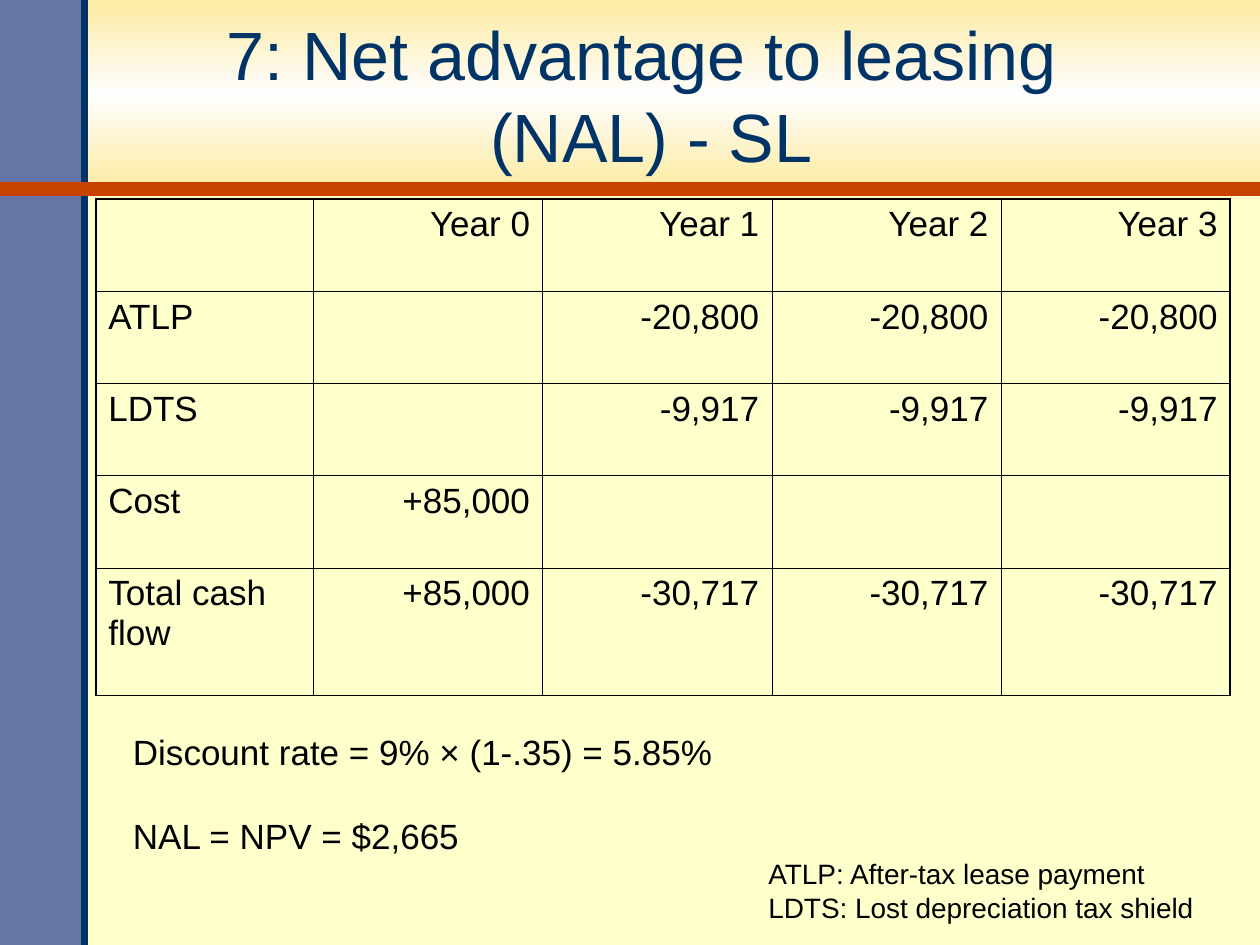
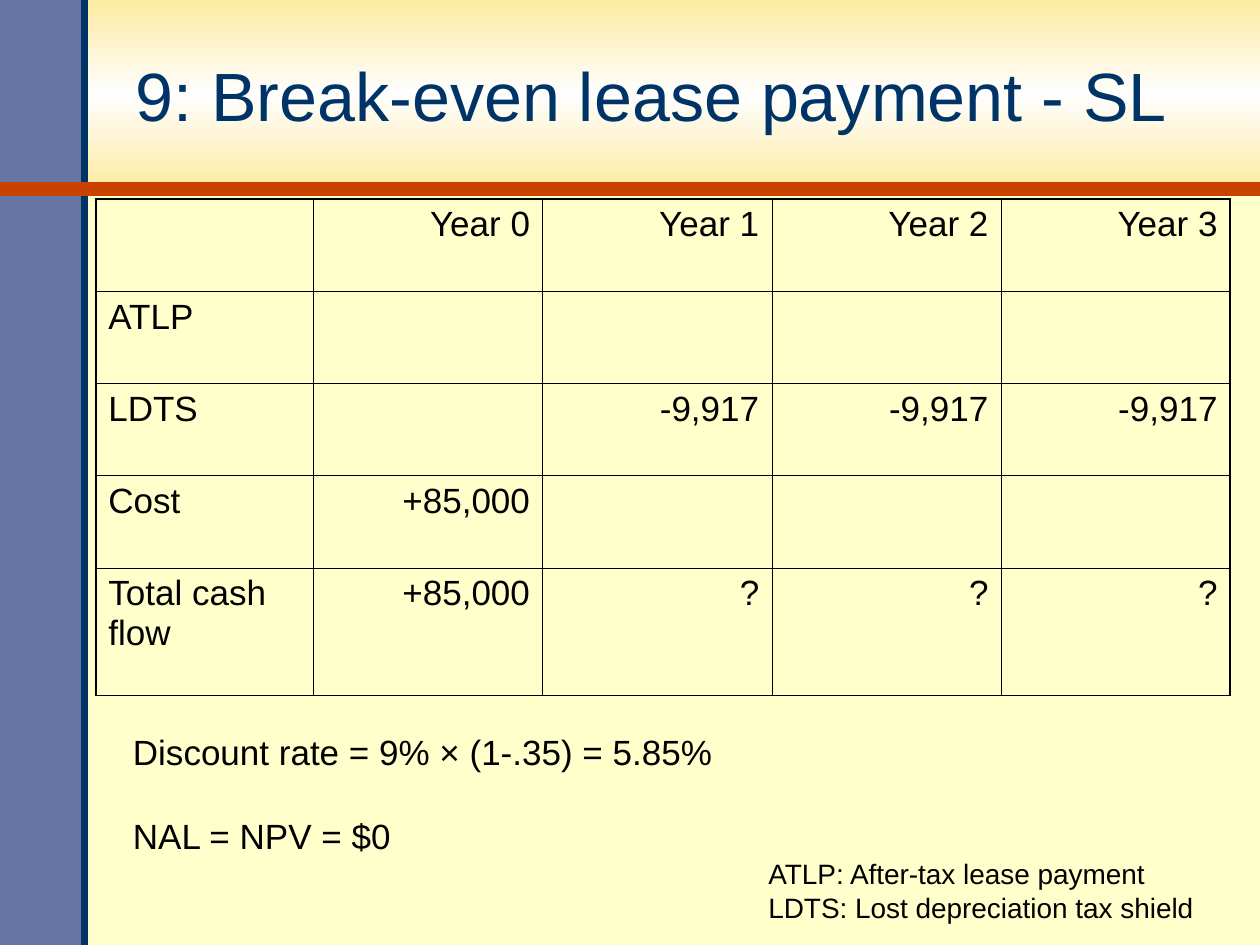
from copy import deepcopy

from pptx import Presentation
from pptx.dml.color import RGBColor
from pptx.enum.shapes import MSO_CONNECTOR as Link, MSO_SHAPE as Form
from pptx.enum.text import MSO_ANCHOR as Anchor, MSO_AUTO_SIZE as Fit, PP_ALIGN as Align
from pptx.oxml import parse_xml
from pptx.oxml.ns import nsdecls, qn
from pptx.oxml.xmlchemy import OxmlElement
from pptx.util import Cm, Pt

CREAM = RGBColor(0xFF, 0xFF, 0xCC)
GOLD = RGBColor(0xFD, 0xEB, 0xA1)
WHITE = RGBColor(0xFE, 0xFE, 0xFE)
SLATE = RGBColor(0x64, 0x75, 0xA6)
NAVY = RGBColor(0x00, 0x33, 0x66)
RUST = RGBColor(0xC8, 0x43, 0x00)
BLACK = RGBColor(0, 0, 0)

WIDE, HIGH = 25.4, 19.05
BAND, SIDE = 3.81, 1.7
FONT = "Arial"
THIN, THICK = 0.45, 1.08
COLS = [4.39] + [4.62] * 4
ROWS = [1.86] * 4 + [2.57]

HEAD = ["", "Year 0", "Year 1", "Year 2", "Year 3"]
SHIELD = ["LDTS", "", *["-9,917"] * 3]
COST = ["Cost", "+85,000", "", "", ""]
KEY = ["ATLP: After-tax lease payment", "LDTS: Lost depreciation tax shield"]
RATE = "Discount rate = 9% × (1-.35) = 5.85%"

CASES = [
    ("7: Net advantage to leasing \v(NAL) - SL", "-20,800", "-30,717", "$2,665"),
    ("9: Break-even lease payment - SL", "", "?", "$0"),
]


class Deck:
    def __init__(self):
        self.prs = Presentation()
        self.prs.slide_width, self.prs.slide_height = Cm(WIDE), Cm(HIGH)

    def start(self, title):
        self.slide = self.prs.slides.add_slide(self.prs.slide_layouts[6])
        back = self.slide.background.fill
        back.solid()
        back.fore_color.rgb = CREAM
        self.shade(self.rect(WIDE, BAND))
        side = self.rect(SIDE, HIGH).fill
        side.solid()
        side.fore_color.rgb = SLATE
        self.line(SIDE, HIGH, SIDE, 0, NAVY, 4)
        self.line(0, BAND, WIDE, BAND, RUST, 8)
        frame = self.text([title], 1.65, 0.38, 22.96, 3.05, 39, NAVY, Align.CENTER)
        frame.vertical_anchor = Anchor.MIDDLE

    def rect(self, width, height):
        shape = self.slide.shapes.add_shape(Form.RECTANGLE, 0, 0, Cm(width), Cm(height))
        shape.shadow.inherit = False
        shape.line.fill.background()
        return shape

    def shade(self, shape):
        fill = shape.fill
        fill.gradient()
        fill.gradient_angle = 90
        first = shape._element.spPr.find(".//" + qn("a:gs"))
        first.addnext(deepcopy(first))
        for stop, place, color in zip(fill.gradient_stops, (0, 0.5, 1), (GOLD, WHITE, GOLD)):
            stop.position = place
            stop.color.rgb = color

    def line(self, x1, y1, x2, y2, color, width):
        line = self.slide.shapes.add_connector(Link.STRAIGHT, Cm(x1), Cm(y1), Cm(x2), Cm(y2))
        line.line.color.rgb = color
        line.line.width = Pt(width)
        line._element.spPr.append(OxmlElement("a:effectLst"))

    def style(self, para, size, color, align):
        para.alignment = align
        para.font.name = FONT
        para.font.size = Pt(size)
        para.font.color.rgb = color

    def text(self, lines, x, y, width, height, size, color=BLACK, align=Align.LEFT, gap=0):
        frame = self.slide.shapes.add_textbox(Cm(x), Cm(y), Cm(width), Cm(height)).text_frame
        frame.word_wrap = True
        for i, words in enumerate(lines):
            para = frame.add_paragraph() if i else frame.paragraphs[0]
            para.text = words
            para.line_spacing = Pt(1.2 * size)
            if i and gap:
                para.space_before = Pt(gap)
            self.style(para, size, color, align)
        return frame

    def edge(self, cell, row, col):
        outer = {"L": col == 0, "R": col == len(COLS) - 1,
                 "T": row == 0, "B": row == len(ROWS) - 1}
        props = cell._tc.get_or_add_tcPr()
        for side, far in outer.items():
            width = Pt(THICK if far else THIN)
            props.append(parse_xml(
                f'<a:ln{side} {nsdecls("a")} w="{width}"><a:solidFill>'
                f'<a:srgbClr val="{BLACK}"/></a:solidFill></a:ln{side}>'))

    def table(self, data, x, y):
        grid = self.slide.shapes.add_table(
            len(ROWS), len(COLS), Cm(x), Cm(y), Cm(sum(COLS)), Cm(sum(ROWS))).table
        grid.first_row = grid.horz_banding = False
        for col, width in zip(grid.columns, COLS):
            col.width = Cm(width)
        for row, height in zip(grid.rows, ROWS):
            row.height = Cm(height)
        for r, row in enumerate(data):
            for c, words in enumerate(row):
                cell = grid.cell(r, c)
                self.edge(cell, r, c)
                cell.fill.background()
                cell.text = words
                self.style(cell.text_frame.paragraphs[0], 20, BLACK,
                           Align.RIGHT if c else Align.LEFT)


def main():
    deck = Deck()
    for title, lease, total, value in CASES:
        deck.start(title)
        deck.table([
            HEAD,
            ["ATLP", "", *[lease] * 3],
            SHIELD,
            COST,
            ["Total cash flow", "+85,000", *[total] * 3],
        ], 1.93, 4.01)
        key = deck.text(KEY, 15.24, 17.15, 9.1, 1.63, 16)
        key.auto_size = Fit.SHAPE_TO_FIT_TEXT
        note = deck.text([RATE, f"NAL = NPV = {value}"], 2.43, 14.61, 12.35, 2.8, 20, gap=24)
        note.word_wrap = False
        note.auto_size = Fit.SHAPE_TO_FIT_TEXT
    deck.prs.save("out.pptx")


if __name__ == "__main__":
    main()
